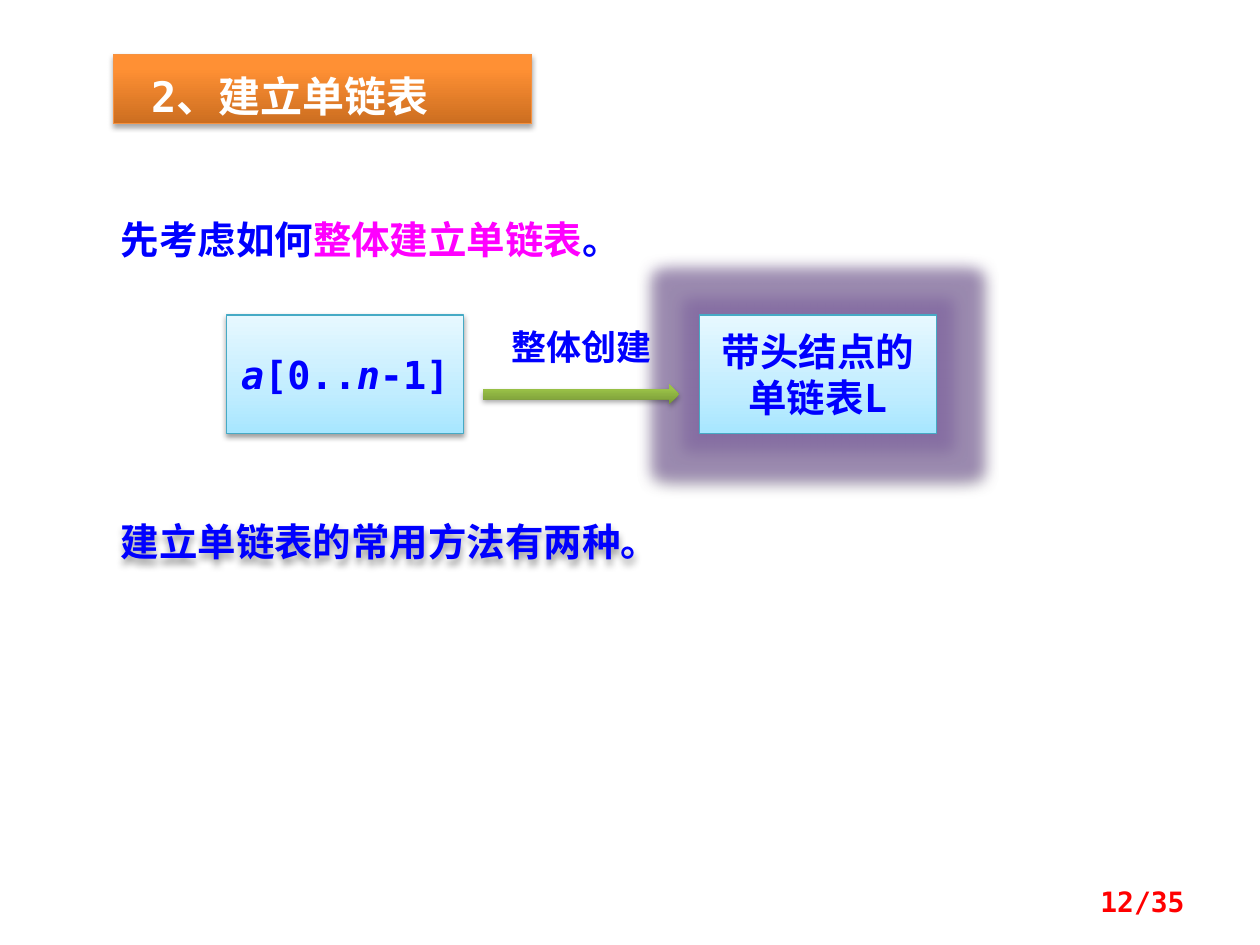
from lxml import etree
from pptx import Presentation, util as u
from pptx.dml.color import RGBColor
from pptx.enum import shapes, text
from pptx.oxml import parse_xml
from pptx.oxml.ns import qn

WHITE = RGBColor(255, 255, 255)
BLUE = RGBColor(0, 0, 255)
PINK = RGBColor(255, 0, 255)
RED = RGBColor(255, 0, 0)
RUST = RGBColor(0xF6, 0x92, 0x40)
TEAL = RGBColor(0x46, 0xAA, 0xC5)
BLACK = RGBColor(0, 0, 0)
PURPLE = RGBColor(0x80, 0x64, 0xA2)

# Gradients run from the bottom edge to the top: (percent, colour)
ORANGE = [(0, RGBColor(0xCC, 0x6E, 0x20)), (80, RGBColor(0xFF, 0x90, 0x34)),
          (100, RGBColor(0xFF, 0x91, 0x36))]
SKY = [(0, RGBColor(0xA7, 0xE6, 0xFF)), (35, RGBColor(0xC1, 0xED, 0xFF)),
       (100, RGBColor(0xE7, 0xF8, 0xFF))]
GREEN = [(0, RGBColor(0x77, 0x97, 0x37)), (80, RGBColor(0x9B, 0xC3, 0x48)),
         (100, RGBColor(0x9D, 0xC7, 0x46))]

LEFT, MID, RIGHT = (text.PP_ALIGN.LEFT, text.PP_ALIGN.CENTER,
                    text.PP_ALIGN.RIGHT)
TOP, CENTER = text.MSO_ANCHOR.TOP, text.MSO_ANCHOR.MIDDLE
RECT = shapes.MSO_SHAPE.RECTANGLE
ARROW = shapes.MSO_SHAPE.RIGHT_ARROW


class Deck:
    font = "DejaVu Sans Mono"

    def __init__(self, wide, high):
        self.file = Presentation()
        self.file.slide_width, self.file.slide_height = u.Pt(wide), u.Pt(high)
        self.slide = self.file.slides.add_slide(self.file.slide_layouts[5])

    def letter(self, shape, runs, size, align=LEFT, anchor=TOP, space=1.0):
        """Fill a shape with runs of (words, colour, italic)."""
        frame = shape.text_frame
        frame.word_wrap = True
        frame.auto_size = text.MSO_AUTO_SIZE.NONE
        frame.vertical_anchor = anchor
        para = frame.paragraphs[0]
        para.alignment, para.line_spacing = align, space
        for words, color, slant in runs:
            run = para.add_run()
            run.text = words
            font = run.font
            font.name, font.size = self.font, u.Pt(size)
            font.bold, font.italic = True, slant
            font.color.rgb = color

    def paint(self, shape, stops, line=None):
        shape.fill.gradient()
        shape.fill.gradient_angle = 90
        grad = shape._element.spPr.find(qn("a:gradFill"))
        ramp = grad.find(qn("a:gsLst"))
        for old in list(ramp):
            ramp.remove(old)
        for place, color in stops:
            stop = etree.SubElement(ramp, qn("a:gs"), pos=str(place * 1000))
            etree.SubElement(stop, qn("a:srgbClr"), val=str(color))
        if line is None:
            shape.line.fill.background()
        else:
            shape.line.color.rgb = line
            shape.line.width = u.Pt(0.75)

    def shade(self, shape, alpha=35, blur=3.1, drop=1.8, glow=0):
        shape.shadow.inherit = False
        effects = shape._element.spPr.find(qn("a:effectLst"))
        space = 'xmlns:a="http://schemas.openxmlformats.org/drawingml/2006/main"'
        tint = '<a:srgbClr val="{}"><a:alpha val="{}"/></a:srgbClr>'
        if glow:
            effects.append(parse_xml(
                f'<a:glow {space} rad="{u.Pt(glow)}">'
                + tint.format(PURPLE, 60000) + "</a:glow>"))
        effects.append(parse_xml(
            f'<a:outerShdw {space} blurRad="{u.Pt(blur)}" dist="{u.Pt(drop)}" '
            'dir="5400000" rotWithShape="0">'
            + tint.format(BLACK, alpha * 1000) + "</a:outerShdw>"))

    def title(self, words, x, y, w, h):
        shape = self.slide.shapes.title
        shape.left, shape.top, shape.width, shape.height = map(u.Pt, (x, y, w, h))
        self.paint(shape, ORANGE, RUST)
        self.shade(shape)
        self.letter(shape, [(words, WHITE, False)], 24, space=1.2)
        shape.text_frame.margin_left = u.Pt(21.6)

    def block(self, kind, x, y, w, h, stops, line=None, **shade):
        shape = self.slide.shapes.add_shape(kind, *map(u.Pt, (x, y, w, h)))
        self.paint(shape, stops, line)
        self.shade(shape, **shade)
        return shape

    def node(self, x, runs, glow=0):
        shape = self.block(RECT, x, 180, 135.4, 67.7, SKY, TEAL,
                           alpha=38, drop=1.6, glow=glow)
        self.letter(shape, runs, 22, MID, CENTER)

    def label(self, x, y, w, h, runs, size, *place, **more):
        shape = self.slide.shapes.add_textbox(*map(u.Pt, (x, y, w, h)))
        self.letter(shape, runs, size, *place, **more)
        return shape


def main():
    deck = Deck(720, 540)

    # Heading and lead sentence
    deck.title("2、建立单链表", 64.8, 31, 239, 39.6)
    deck.label(62, 106.6, 340, 42.5,
               [("先考虑如何", BLUE, False), ("整体建立单链表", PINK, False),
                ("。", BLUE, False)], 22, space=1.5)

    # Array turned into a linked list
    deck.node(129.6, [("a", BLUE, True), ("[0..", BLUE, False),
                      ("n", BLUE, True), ("-1]", BLUE, False)])
    deck.node(399.6, [("带头结点的单链表L", BLUE, False)], glow=18)
    deck.block(ARROW, 275.8, 219.6, 112.3, 11.5, GREEN)
    deck.label(281.5, 182.2, 101.5, 31.7, [("整体创建", BLUE, False)], 20, MID)

    # Closing sentence and page number
    close = deck.label(62, 292.3, 360, 33.8,
                       [("建立单链表的常用方法有两种。", BLUE, False)], 22)
    deck.shade(close, alpha=40, blur=4, drop=3)
    deck.label(516.2, 500.4, 167.8, 28.8, [("12/35", RED, False)], 16,
               RIGHT, CENTER)

    deck.file.save("out.pptx")


if __name__ == "__main__":
    main()
